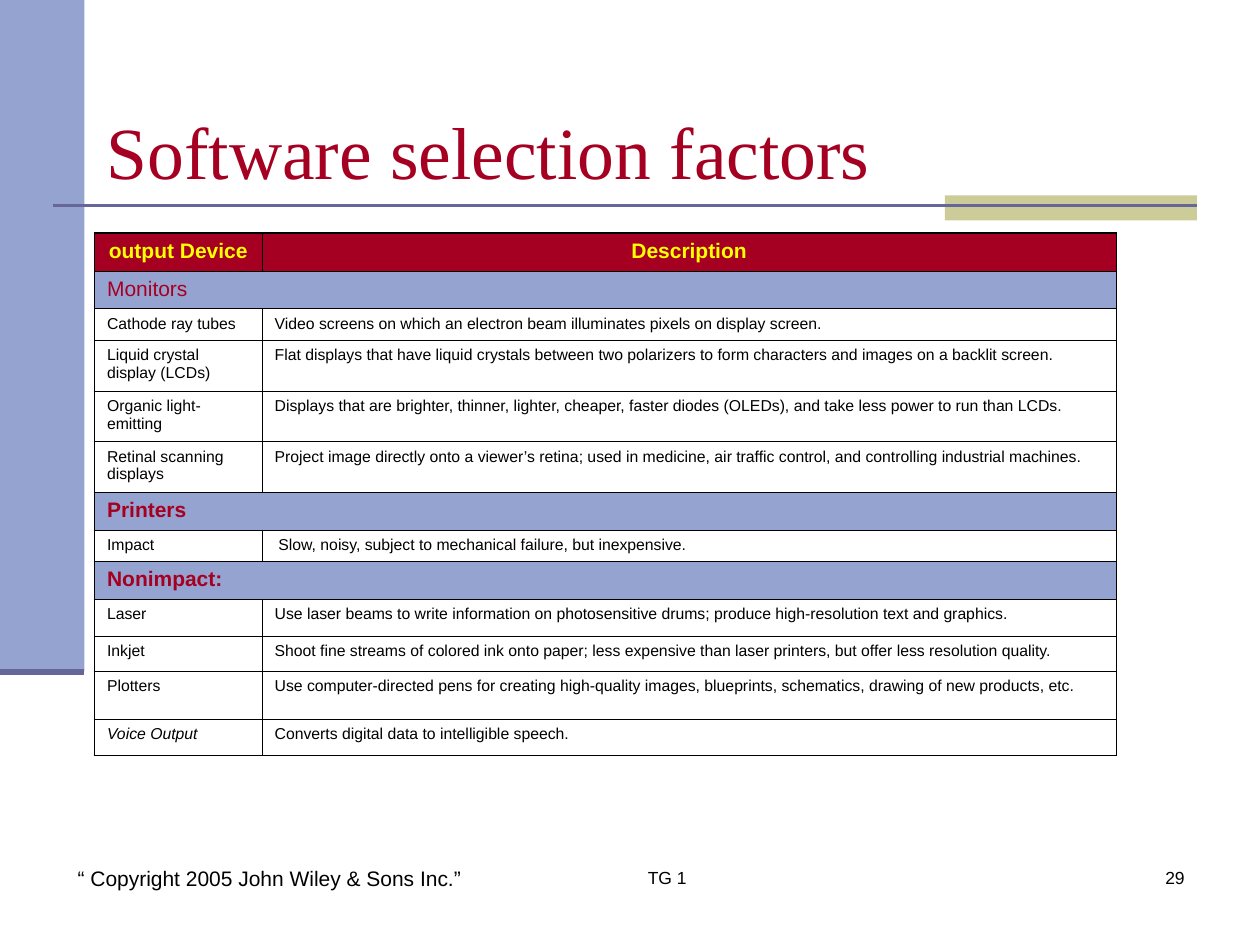
from lxml import etree
from pptx import Presentation
from pptx.dml.color import RGBColor
from pptx.enum.shapes import MSO_CONNECTOR as Connector, MSO_SHAPE as Shape
from pptx.enum.text import MSO_ANCHOR as Anchor, PP_ALIGN as Align
from pptx.oxml.ns import qn
from pptx.util import Inches, Pt

RED, BLUE, PURPLE, KHAKI = "A50021", "95A3D1", "666699", "CCCC99"
BLACK, YELLOW = "000000", "FFFF00"
THIN, THICK = 0.45, 1.08

HEADER = ("output Device", "Description")
# Row height, first cell, description (None marks a section row)
ROWS = [
    (0.3, "Monitors", None),
    (0.25, "Cathode ray tubes",
     "Video screens on which an electron beam illuminates pixels on display screen."),
    (0.4, "Liquid crystal display (LCDs)",
     "Flat displays that have liquid crystals between two polarizers to form "
     "characters and images on a backlit screen."),
    (0.4, "Organic light-emitting",
     "Displays that are brighter, thinner, lighter, cheaper, faster diodes (OLEDs), "
     "and take less power to run than LCDs."),
    (0.4, "Retinal scanning displays",
     "Project image directly onto a viewer’s retina; used in medicine, air traffic "
     "control, and controlling industrial machines."),
    (0.3, "Printers", None),
    (0.25, "Impact", "Slow, noisy, subject to mechanical failure, but inexpensive."),
    (0.3, "Nonimpact:", None),
    (0.29, "Laser",
     "Use laser beams to write information on photosensitive drums; produce "
     "high-resolution text and graphics."),
    (0.28, "Inkjet",
     "Shoot fine streams of colored ink onto paper; less expensive than laser "
     "printers, but offer less resolution quality."),
    (0.38, "Plotters",
     "Use computer-directed pens for creating high-quality images, blueprints, "
     "schematics, drawing of new products, etc."),
    (0.29, "Voice Output", "Converts digital data to intelligible speech."),
]


def color(value):
    return RGBColor.from_string(value)


def write(frame, text, size, tint=BLACK, align=Align.LEFT, font="Arial",
          bold=False, italic=False):
    para = frame.paragraphs[0]
    para.text = text
    para.alignment = align
    para.font.name, para.font.size = font, Pt(size)
    para.font.bold, para.font.italic = bold, italic
    para.font.color.rgb = color(tint)


def add_text(page, box, text, size, anchor=Anchor.TOP, **style):
    frame = page.shapes.add_textbox(*map(Inches, box)).text_frame
    frame.word_wrap = True
    frame.vertical_anchor = anchor
    write(frame, text, size, **style)


def add_block(page, box, fill):
    block = page.shapes.add_shape(Shape.RECTANGLE, *map(Inches, box))
    block.shadow.inherit = False
    block.fill.solid()
    block.fill.fore_color.rgb = color(fill)
    block.line.fill.background()


def add_rule(page, left, right, top, width):
    rule = page.shapes.add_connector(
        Connector.STRAIGHT, Inches(left), Inches(top), Inches(right), Inches(top))
    rule.line.color.rgb = color(PURPLE)
    rule.line.width = Pt(width)
    etree.SubElement(rule._element.spPr, qn("a:effectLst"))


def add_backdrop(page):
    add_block(page, (0, 0, 0.67, 5.33), BLUE)
    add_block(page, (7.5, 1.55, 2, 0.2), KHAKI)
    add_rule(page, 0.42, 9.5, 1.63, 1.5)
    add_rule(page, 0, 0.67, 5.33, 3.5)


def add_footer(page):
    add_text(page, (0.31, 6.82, 3.66, 0.3), "“ Copyright 2005 John Wiley & Sons Inc.”",
             12, align=Align.CENTER)
    add_text(page, (3.67, 6.83, 3.25, 0.5), "TG 1", 10, align=Align.CENTER)
    add_text(page, (7.42, 6.83, 2.08, 0.5), "29", 10, align=Align.RIGHT)


def set_borders(cell, **widths):
    properties = cell._tc.get_or_add_tcPr()
    for side in ("L", "R", "T", "B"):
        line = etree.SubElement(properties, qn(f"a:ln{side}"), w=str(Pt(widths[side])))
        fill = etree.SubElement(line, qn("a:solidFill"))
        etree.SubElement(fill, qn("a:srgbClr"), val=BLACK)


def paint(cell, fill):
    if fill:
        cell.fill.solid()
        cell.fill.fore_color.rgb = color(fill)
    else:
        cell.fill.background()


def add_device_table(page, left, top, widths):
    heights = [0.3] + [row[0] for row in ROWS]
    last = len(heights) - 1
    frame = page.shapes.add_table(len(heights), 2, Inches(left), Inches(top),
                                  Inches(sum(widths)), Inches(sum(heights)))
    table = frame.table
    table.first_row = table.horz_banding = False
    for column, width in zip(table.columns, widths):
        column.width = Inches(width)

    for index, height in enumerate(heights):
        table.rows[index].height = Inches(height)
        texts = HEADER if index == 0 else ROWS[index - 1][1:]
        section = texts[1] is None
        first, second = table.cell(index, 0), table.cell(index, 1)
        # Thick outer frame, thin inner grid
        across = {"T": THIN if index else THICK, "B": THICK if index == last else THIN}
        set_borders(first, L=THICK, R=THICK if section else THIN, **across)
        set_borders(second, L=THIN, R=THICK, **across)
        fill = RED if index == 0 else BLUE if section else None
        for cell in (first, second):
            paint(cell, fill)

        if section:
            first.merge(second)
            write(first.text_frame, texts[0], 12, RED, bold=texts[0] != "Monitors")
            continue
        for cell, text in zip((first, second), texts):
            if index == 0:
                write(cell.text_frame, text, 12, YELLOW, Align.CENTER, bold=True)
            else:
                write(cell.text_frame, text, 9, italic=text == "Voice Output")
        if texts[0] == "Impact":
            second.margin_left = Inches(0.13)


def main():
    deck = Presentation()
    deck.slide_width, deck.slide_height = Inches(10), Inches(7.5)
    page = deck.slides.add_slide(deck.slide_layouts[6])
    add_backdrop(page)
    add_footer(page)
    # Title
    add_text(page, (0.75, 0.68, 9, 1.03), "Software selection factors", 42,
             Anchor.MIDDLE, tint=RED, font="Times New Roman")
    add_device_table(page, 0.75, 1.85, (1.33, 6.78))
    deck.save("out.pptx")


if __name__ == "__main__":
    main()
